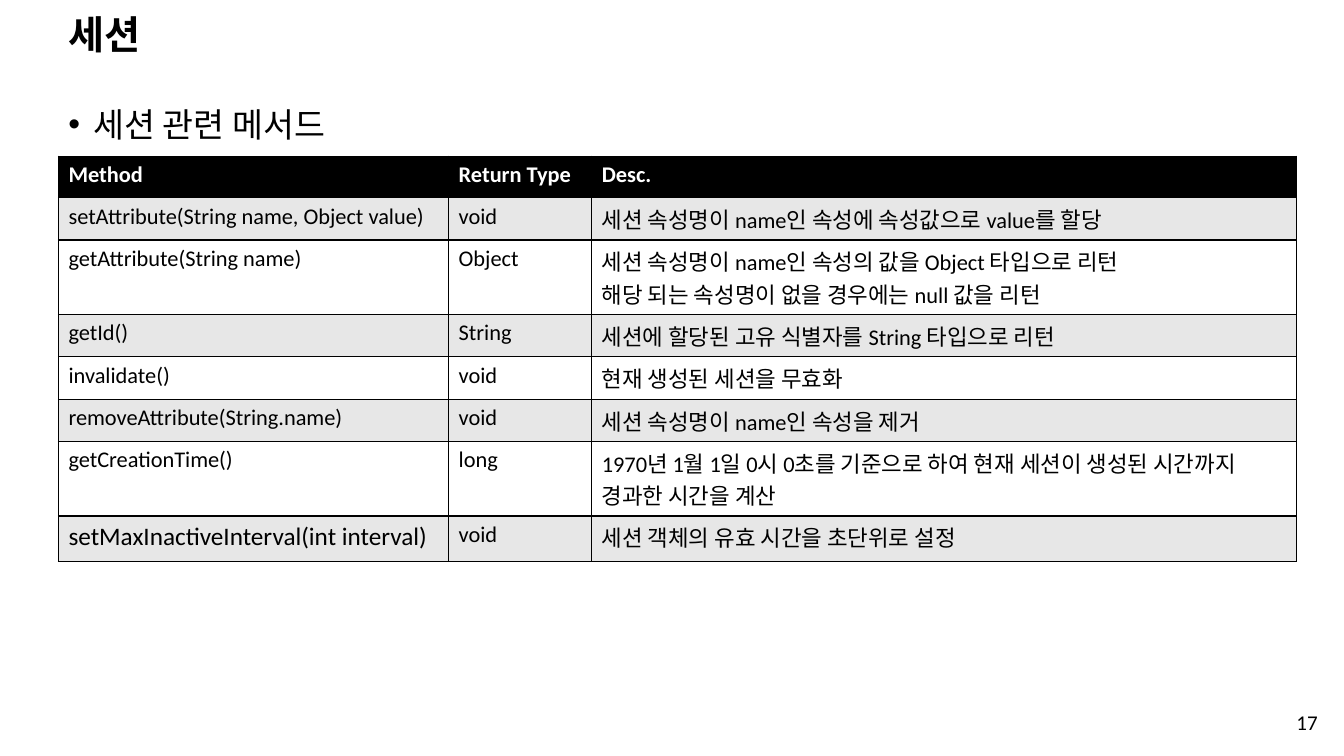
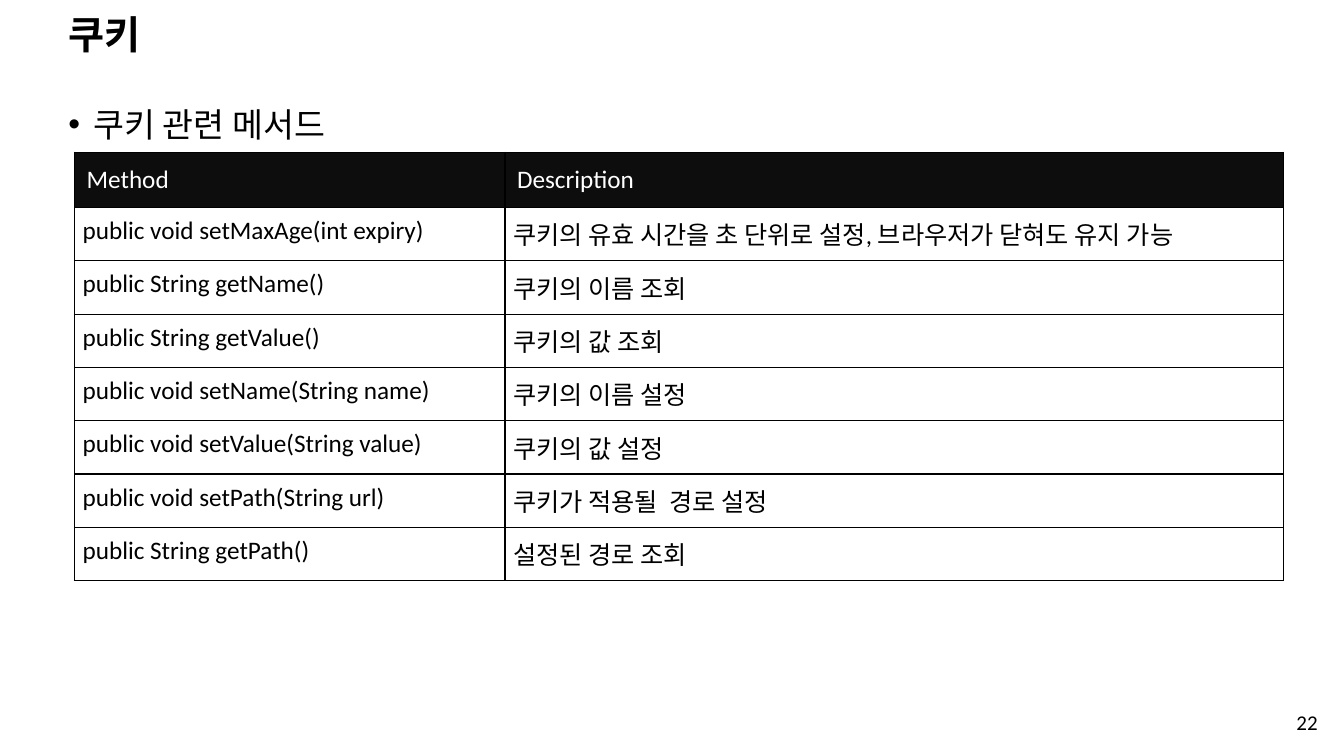
from pptx import Presentation
from pptx.dml.color import RGBColor
from pptx.enum.text import MSO_ANCHOR as Anchor, PP_ALIGN as Align
from pptx.oxml import parse_xml
from pptx.oxml.ns import nsdecls
from pptx.util import Inches, Pt

color = RGBColor.from_string
BLACK, WHITE, GRAY, CHARCOAL = "000000", "FFFFFF", "E7E7E7", "0D0D0D"
LINE_WIDTH = Pt(1)

session_rows = [
    ("Method", "Return Type", "Desc."),
    ("setAttribute(String name, Object value)", "void",
     "세션 속성명이 name인 속성에 속성값으로 value를 할당"),
    ("getAttribute(String name)", "Object",
     "세션 속성명이 name인 속성의 값을 Object 타입으로 리턴\n"
     "해당 되는 속성명이 없을 경우에는 null 값을 리턴"),
    ("getId()", "String", "세션에 할당된 고유 식별자를 String 타입으로 리턴"),
    ("invalidate()", "void", "현재 생성된 세션을 무효화"),
    ("removeAttribute(String.name)", "void", "세션 속성명이 name인 속성을 제거"),
    ("getCreationTime()", "long",
     "1970년 1월 1일 0시 0초를 기준으로 하여 현재 세션이 생성된 시간까지 경과한 시간을 계산"),
    ("setMaxInactiveInterval(int interval)", "void",
     "세션 객체의 유효 시간을 초단위로 설정"),
]
cookie_rows = [
    ("Method", "Description"),
    ("public void setMaxAge(int expiry)",
     "쿠키의 유효 시간을 초 단위로 설정, 브라우저가 닫혀도 유지 가능"),
    ("public String getName()", "쿠키의 이름 조회"),
    ("public String getValue()", "쿠키의 값 조회"),
    ("public void setName(String name)", "쿠키의 이름 설정"),
    ("public void setValue(String value)", "쿠키의 값 설정"),
    ("public void setPath(String url)", "쿠키가 적용될  경로 설정"),
    ("public String getPath()", "설정된 경로 조회"),
]

# Table lengths are percentages of the slide; insets are in inches.
pages = [
    dict(title="세션", topic="세션 관련 메서드", number="17", rows=session_rows,
         left=4.35, top=20.67, widths=[29.03, 10.65, 52.43],
         heights=[5.47, 5.6, 9.87, 5.6, 5.6, 5.6, 9.87, 6],
         size=16, larger_cells={(7, 0): 18}, header_bold=True,
         header_fill=BLACK, band_fills=[WHITE, GRAY],
         header_insets=(0.1, 0.05), body_insets=(0.1, 0.05)),
    dict(title="쿠키", topic="쿠키 관련 메서드", number="22", rows=cookie_rows,
         left=5.55, top=20.13, widths=[32.03, 57.9],
         heights=[7.33] + [7.05] * 7,
         size=18, larger_cells={}, header_bold=False,
         header_fill=CHARCOAL, band_fills=[WHITE, WHITE],
         header_insets=(0.12, 0.12), body_insets=(0.08, 0.08)),
]


def write_text(frame, text, size, font="Calibri", fill=BLACK, bold=False,
               align=Align.LEFT, spacing=1.0, bullet=False):
    """Fill a text frame, one paragraph for each line of the text."""
    frame.word_wrap = True
    frame.text = text
    for paragraph in frame.paragraphs:
        paragraph.alignment = align
        paragraph.line_spacing = spacing
        if bullet:
            properties = paragraph._p.get_or_add_pPr()
            properties.set("marL", str(Inches(0.25)))
            properties.set("indent", str(Inches(-0.25)))
            properties.append(parse_xml(f'<a:buFont {nsdecls("a")} typeface="Arial"/>'))
            properties.append(parse_xml(f'<a:buChar {nsdecls("a")} char="•"/>'))
        for run in paragraph.runs:
            run.font.name = font
            run.font.size = Pt(size)
            run.font.bold = bold
            run.font.color.rgb = color(fill)


def add_borders(cell):
    properties = cell._tc.get_or_add_tcPr()
    for side in "LRTB":
        properties.append(parse_xml(
            f'<a:ln{side} {nsdecls("a")} w="{LINE_WIDTH}"><a:solidFill>'
            f'<a:srgbClr val="{BLACK}"/></a:solidFill></a:ln{side}>'))


presentation = Presentation()
presentation.slide_width = Inches(13.33)
presentation.slide_height = Inches(7.5)
column = presentation.slide_width / 100
row = presentation.slide_height / 100
blank = presentation.slide_layouts[6]

for page in pages:
    slide = presentation.slides.add_slide(blank)

    text_boxes = [
        (page["title"], (4.35, 2.4, 86.25, 5), Anchor.MIDDLE,
         dict(size=28, font="Arial", bold=True, spacing=0.9)),
        (page["topic"], (4.35, 11, 93.45, 83.75), Anchor.TOP,
         dict(size=24, font="Arial", spacing=1.4, bullet=True)),
        (page["number"], (70.65, 92.67, 28.13, 5.6), Anchor.MIDDLE,
         dict(size=15, align=Align.RIGHT)),
    ]
    for text, (left, top, width, height), anchor, text_format in text_boxes:
        shape = slide.shapes.add_textbox(int(left * column), int(top * row),
                                         int(width * column), int(height * row))
        shape.text_frame.vertical_anchor = anchor
        write_text(shape.text_frame, text, **text_format)

    rows, widths, heights = page["rows"], page["widths"], page["heights"]
    table = slide.shapes.add_table(
        len(rows), len(widths), int(page["left"] * column), int(page["top"] * row),
        int(sum(widths) * column), int(sum(heights) * row)).table
    table.horz_banding = False
    for table_column, width in zip(table.columns, widths):
        table_column.width = int(width * column)

    for row_index, (texts, height) in enumerate(zip(rows, heights)):
        table.rows[row_index].height = int(height * row)
        is_header = row_index == 0
        side, edge = page["header_insets" if is_header else "body_insets"]
        cell_fill = page["header_fill"] if is_header else page["band_fills"][row_index % 2]
        for column_index, text in enumerate(texts):
            cell = table.cell(row_index, column_index)
            cell.margin_left = cell.margin_right = Inches(side)
            cell.margin_top = cell.margin_bottom = Inches(edge)
            add_borders(cell)
            cell.fill.solid()
            cell.fill.fore_color.rgb = color(cell_fill)
            write_text(cell.text_frame, text,
                       size=page["larger_cells"].get((row_index, column_index), page["size"]),
                       fill=WHITE if is_header else BLACK,
                       bold=is_header and page["header_bold"])

presentation.save("out.pptx")
